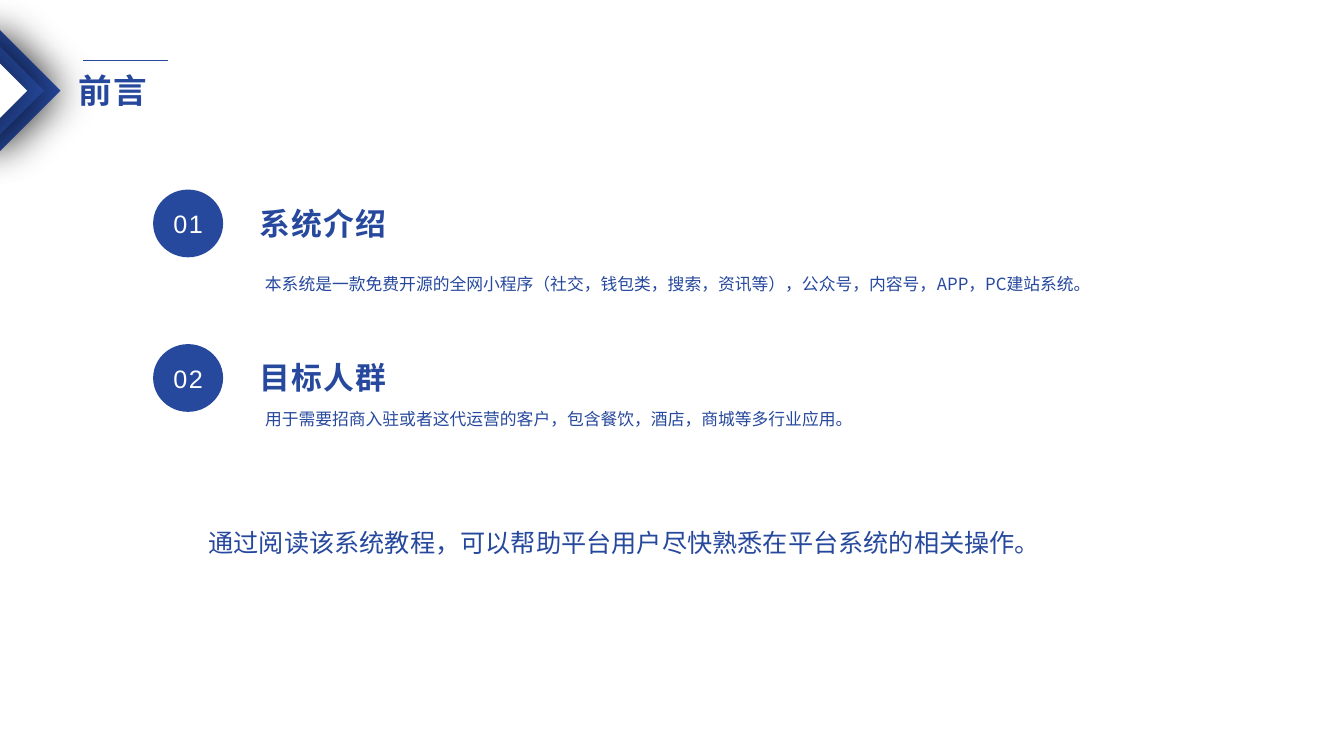
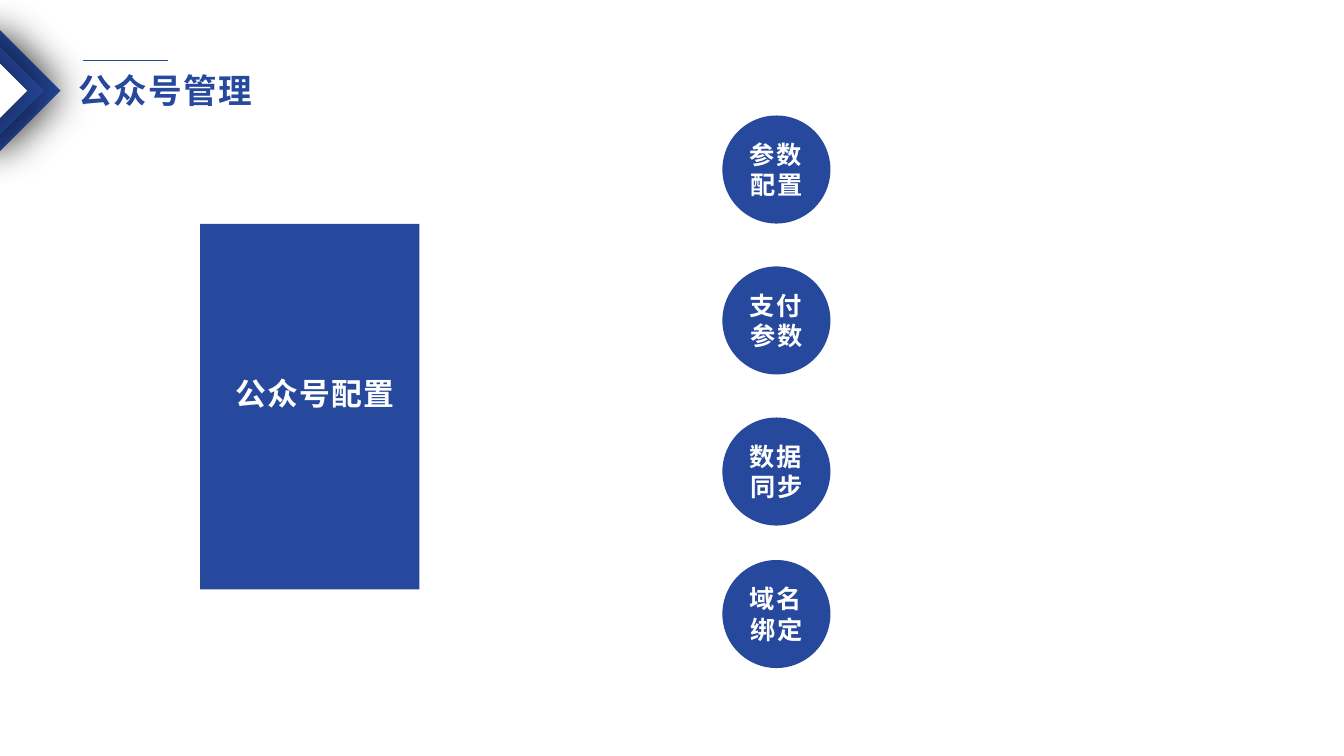
from lxml import etree
from pptx import Presentation
from pptx.dml.color import RGBColor
from pptx.enum import shapes, text
from pptx.oxml import ns
from pptx.util import Pt

BLUE = RGBColor(0x26, 0x48, 0x9D)
WHITE = RGBColor(0xFF, 0xFF, 0xFF)
HEAD_FONT = "Arial"
BODY_FONT = "Noto Sans CJK SC"
LEFT, CENTER = text.PP_ALIGN.LEFT, text.PP_ALIGN.CENTER
TOP, MIDDLE = text.MSO_ANCHOR.TOP, text.MSO_ANCHOR.MIDDLE
OVAL, RECT = shapes.MSO_SHAPE.OVAL, shapes.MSO_SHAPE.RECTANGLE


class Deck:
    def __init__(self):
        self.prs = Presentation()
        self.prs.slide_width, self.prs.slide_height = Pt(960), Pt(540)
        self.s = None

    def slide(self, title):
        self.s = self.prs.slides.add_slide(self.prs.slide_layouts[5])
        for x, color in ((-43.2, BLUE), (-55, BLUE), (-67, WHITE)):
            self.diamond(x, color)
        sp = self.s.shapes.title
        sp.left, sp.top = Pt(48.6), Pt(46)
        sp.width, sp.height = Pt(16 + 25 * len(title)), Pt(36)
        self.label(sp, title, 24, BLUE, bold=True, wrap=False)
        self.rule(59.6, 43.2, 60.5)

    def diamond(self, x, color):
        sp = self.shape(shapes.MSO_SHAPE.DIAMOND, x, 21.6, 86.4, 86.4, color)
        effects = sp._element.spPr.find(ns.qn("a:effectLst"))
        shadow = etree.SubElement(effects, ns.qn("a:outerShdw"),
                                  blurRad=str(Pt(30)), dist=str(Pt(3)), dir="0",
                                  algn="ctr", rotWithShape="0")
        black = etree.SubElement(shadow, ns.qn("a:srgbClr"), val="000000")
        etree.SubElement(black, ns.qn("a:alpha"), val="50000")

    def rule(self, x, y, w):
        line = self.s.shapes.add_connector(
            shapes.MSO_CONNECTOR.STRAIGHT, Pt(x), Pt(y), Pt(x + w), Pt(y))
        line.line.color.rgb = BLUE
        line.line.width = Pt(0.5)
        etree.SubElement(line._element.spPr, ns.qn("a:effectLst"))

    def shape(self, kind, x, y, w, h, color=BLUE):
        sp = self.s.shapes.add_shape(kind, Pt(x), Pt(y), Pt(w), Pt(h))
        sp.shadow.inherit = False
        sp.fill.solid()
        sp.fill.fore_color.rgb = color
        sp.line.fill.background()
        return sp

    def circle(self, x, y, w, h, words, bold=False, wrap=True):
        sp = self.shape(OVAL, x, y, w, h)
        self.label(sp, words, 18, WHITE, bold, CENTER, MIDDLE, wrap)

    def heading(self, x, y, w, words, color=BLUE):
        sp = self.s.shapes.add_textbox(Pt(x), Pt(y), Pt(w), Pt(34))
        self.label(sp, words, 22, color, True, CENTER)

    def body(self, x, y, w, h, words, size=12, align=LEFT, spacing=1.0):
        sp = self.s.shapes.add_textbox(Pt(x), Pt(y), Pt(w), Pt(h))
        self.label(sp, words, size, BLUE, align=align, font=BODY_FONT,
                   tracking=0, spacing=spacing)

    def label(self, sp, words, size, color, bold=False, align=LEFT, anchor=TOP,
              wrap=True, font=HEAD_FONT, tracking=1, spacing=1.0):
        tf = sp.text_frame
        tf.word_wrap = wrap
        tf.auto_size = text.MSO_AUTO_SIZE.NONE
        tf.vertical_anchor = anchor
        p = tf.paragraphs[0]
        p.text = words
        p.alignment, p.line_spacing = align, spacing
        p.font.size, p.font.bold, p.font.name = Pt(size), bold, font
        p.font.color.rgb = color
        props = p._p.pPr.find(ns.qn("a:defRPr"))
        props.set("spc", str(tracking * 100))
        etree.SubElement(props, ns.qn("a:ea"), typeface=BODY_FONT)


def preface(deck):
    deck.slide("前言")
    for number, y, words in (("01", 135.4, "系统介绍"), ("02", 245.8, "目标人群")):
        deck.circle(109.4, y, 50, 48.4, number, wrap=False)
        deck.heading(175, y + 7.2, 111, words)
    deck.body(182.2, 189.4, 620, 24,
              "本系统是一款免费开源的全网小程序（社交，钱包类，搜索，资讯等），"
              "公众号，内容号，APP，PC建站系统。", spacing=1.2)
    deck.body(182.2, 288.7, 480, 58,
              "用于需要招商入驻或者这代运营的客户，包含餐饮，酒店，商城等多行业应用。")
    deck.body(135.4, 368.6, 603, 60,
              "通过阅读该系统教程，可以帮助平台用户尽快熟悉在平台系统的相关操作。",
              18, CENTER, 1.2)


def account_management(deck):
    deck.slide("公众号管理")
    deck.shape(RECT, 143, 160, 156.5, 261)
    deck.heading(160, 264.2, 130, "公众号配置", WHITE)
    topics = ("参数配置", "支付参数", "数据同步", "域名绑定")
    for y, topic in zip((82.5, 190.3, 298.2, 400), topics):
        deck.circle(516, y, 77.2, 77.2, topic, bold=True)


def main():
    deck = Deck()
    preface(deck)
    account_management(deck)
    deck.prs.save("out.pptx")


if __name__ == "__main__":
    main()
